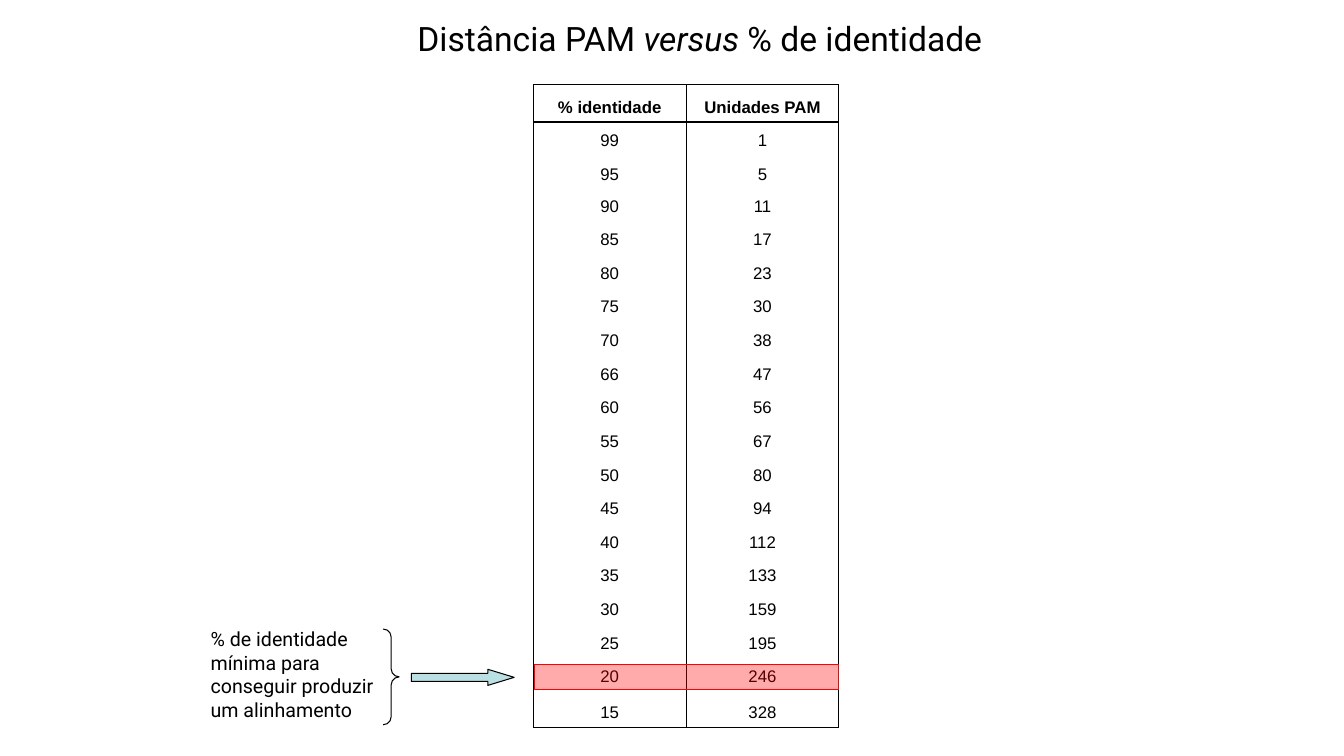
"""Build the slide relating PAM distance to percentage identity."""
from lxml.etree import SubElement
from pptx import Presentation
from pptx.dml.color import RGBColor
from pptx.enum.shapes import MSO_SHAPE
from pptx.enum.text import MSO_ANCHOR, MSO_AUTO_SIZE, PP_ALIGN
from pptx.oxml.ns import qn
from pptx.util import Inches, Pt

TITLE = [("Distância PAM ", False), ("versus ", True), ("% de identidade", False)]
NOTE = "% de identidade mínima para conseguir produzir um alinhamento"
HEADER = ("% identidade", "Unidades PAM")
PAM_UNITS = [
    (99, 1), (95, 5), (90, 11), (85, 17), (80, 23), (75, 30),
    (70, 38), (66, 47), (60, 56), (55, 67), (50, 80), (45, 94),
    (40, 112), (35, 133), (30, 159), (25, 195), (20, 246), (15, 328),
]
COLORS = {"ink": "000000", "paper": "FFFFFF", "highlight": "FF0000", "arrow": "BBE0E3"}
TABLE_BOX = (5.29, 0.84, 3.03, 6.38)
SPECIAL_HEIGHTS = {0: 0.37, 1: 0.33, 2: 0.34, 3: 0.31, 18: 0.36}


def color(name):
    return RGBColor.from_string(COLORS[name])


def inches(*lengths):
    return [Inches(length) for length in lengths]


def add_span(para, text, font, size, bold=False, italic=False):
    span = para.add_run()
    span.text = text
    span.font.name = font
    span.font.size = Pt(size)
    span.font.bold = bold
    span.font.italic = italic
    span.font.color.rgb = color("ink")


def set_borders(cell, visible):
    properties = cell._tc.get_or_add_tcPr()
    for side in "LRTB":
        line = SubElement(properties, qn(f"a:ln{side}"), w=str(Pt(1)))
        if side in visible:
            fill = SubElement(line, qn("a:solidFill"))
            SubElement(fill, qn("a:srgbClr"), val=COLORS["ink"])
        else:
            SubElement(line, qn("a:noFill"))


def add_pam_table(page):
    rows = [HEADER, *PAM_UNITS]
    table = page.shapes.add_table(len(rows), len(HEADER), *inches(*TABLE_BOX)).table
    table.first_row = table.horz_banding = False
    regular = (TABLE_BOX[3] - sum(SPECIAL_HEIGHTS.values())) / (len(rows) - len(SPECIAL_HEIGHTS))
    visible = {0: "LRTB", 1: "LRT", len(rows) - 1: "LRB"}
    for column in table.columns:
        column.width = Inches(TABLE_BOX[2] / len(HEADER))
    for index, values in enumerate(rows):
        table.rows[index].height = Inches(SPECIAL_HEIGHTS.get(index, regular))
        for column, value in enumerate(values):
            cell = table.cell(index, column)
            set_borders(cell, visible.get(index, "LR"))
            cell.fill.solid()
            cell.fill.fore_color.rgb = color("paper")
            cell.vertical_anchor = MSO_ANCHOR.BOTTOM
            para = cell.text_frame.paragraphs[0]
            para.alignment = PP_ALIGN.CENTER
            add_span(para, str(value), "Arial", 12, bold=index == 0)


def add_outline(shapes, kind, box, line, fill=None, adjustments=()):
    shape = shapes.add_shape(kind, *inches(*box))
    shape.shadow.inherit = False
    shape.line.color.rgb = color(line)
    shape.line.width = Pt(0.75)
    if fill:
        shape.fill.solid()
        shape.fill.fore_color.rgb = color(fill)
    else:
        shape.fill.background()
    for index, value in enumerate(adjustments):
        shape.adjustments[index] = value
    return shape


def add_title(page):
    title = page.shapes.title
    title.left, title.top, title.width, title.height = inches(3.67, 0.13, 6.54, 0.5)
    frame = title.text_frame
    frame.auto_size = MSO_AUTO_SIZE.NONE
    frame.vertical_anchor = MSO_ANCHOR.TOP
    para = frame.paragraphs[0]
    para.alignment = PP_ALIGN.CENTER
    for text, italic in TITLE:
        add_span(para, text, "Roboto", 24, italic=italic)


def add_note(page):
    group = page.shapes.add_group_shape()
    box = group.shapes.add_textbox(*inches(1.99, 6.17, 2.05, 1.04))
    box.text_frame.word_wrap = True
    add_span(box.text_frame.paragraphs[0], NOTE, "Roboto", 14)
    add_outline(group.shapes, MSO_SHAPE.RIGHT_BRACE, (3.8, 6.24, 0.16, 0.95), "ink",
                adjustments=(0.5, 0.5))


def main():
    deck = Presentation()
    deck.slide_width, deck.slide_height = inches(13.33, 7.5)
    page = deck.slides.add_slide(deck.slide_layouts[5])
    add_title(page)
    add_pam_table(page)
    highlight = add_outline(page.shapes, MSO_SHAPE.RECTANGLE, (5.3, 6.59, 3.02, 0.25),
                            "highlight", "highlight")
    tint = highlight.fill._xPr.find(qn("a:solidFill"))[0]
    SubElement(tint, qn("a:alpha"), val="33000")
    add_outline(page.shapes, MSO_SHAPE.RIGHT_ARROW, (4.08, 6.64, 1.02, 0.16),
                "ink", "arrow", (0.5, 1.64))
    add_note(page)
    deck.save("out.pptx")


if __name__ == "__main__":
    main()
